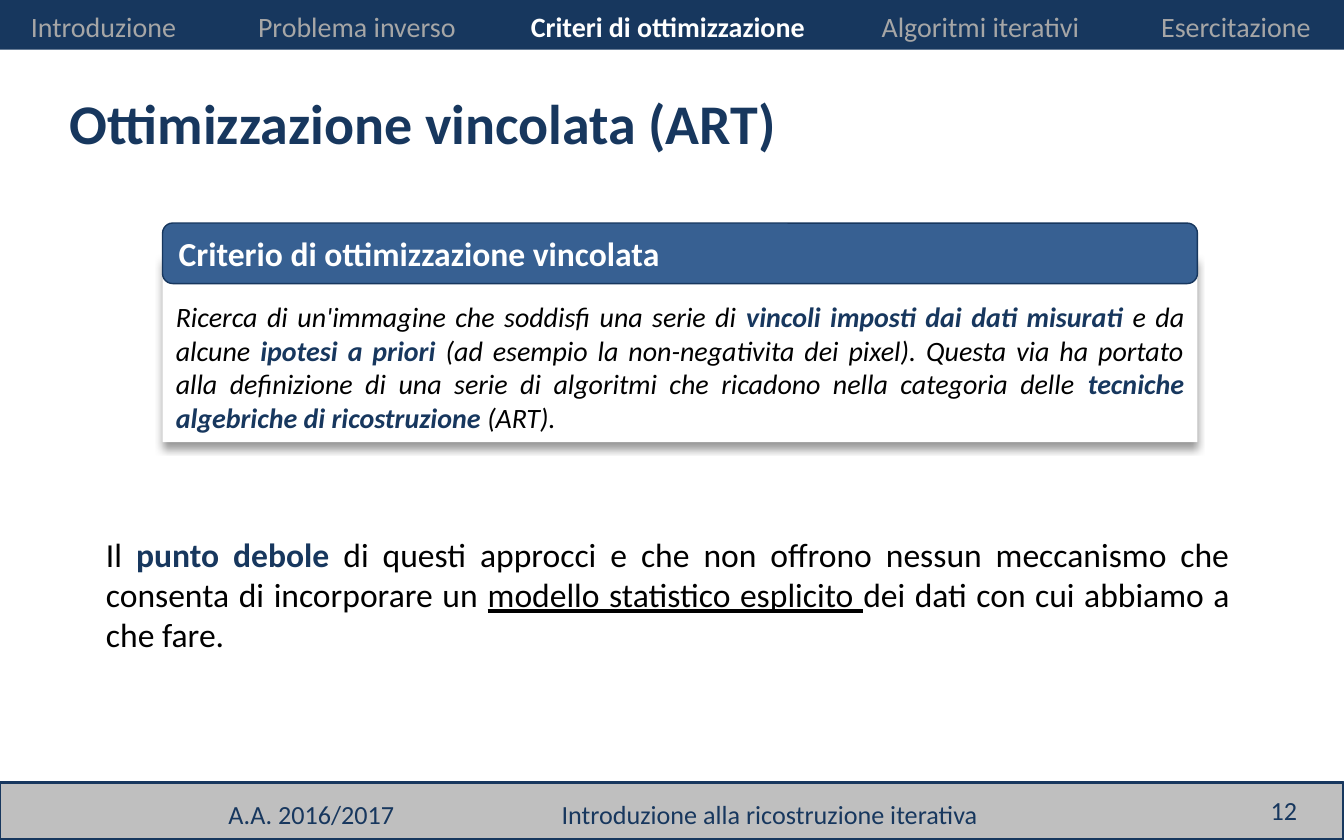
from dataclasses import dataclass

from lxml import etree
from pptx import Presentation
from pptx import util as u
from pptx.dml.color import RGBColor
from pptx.enum import shapes, text
from pptx.oxml import ns


@dataclass(frozen=True)
class Theme:
    font: str = "Calibri"
    navy: str = "17375E"
    blue: str = "376092"
    silver: str = "BFBFBF"
    muted: str = "A6A6A6"
    white: str = "FFFFFF"
    black: str = "000000"
    title: int = 30
    body: int = 18
    small: int = 15
    footer: int = 14


class Deck:
    """Holds the theme and current slide; boxes are percentages of its size."""

    def __init__(self, prs, theme):
        self.prs, self.theme = prs, theme
        self.s = prs.slides.add_slide(prs.slide_layouts[6])

    def place(self, box):
        x, y, w, h = box
        width, height = self.prs.slide_width, self.prs.slide_height
        return [int(v * size / 100) for v, size in
                ((x, width), (y, height), (w, width), (h, height))]

    def panel(self, box, fill, line=None, weight=0.75,
              kind=shapes.MSO_SHAPE.RECTANGLE):
        sp = self.s.shapes.add_shape(kind, *self.place(box))
        sp.shadow.inherit = False
        sp.fill.solid()
        sp.fill.fore_color.rgb = RGBColor.from_string(fill)
        if line:
            sp.line.color.rgb = RGBColor.from_string(line)
            sp.line.width = u.Pt(weight)
        else:
            sp.line.fill.background()
        return sp

    def drop_shadow(self, sp):
        effects = sp._element.spPr.find(ns.qn("a:effectLst"))
        shadow = etree.SubElement(
            effects, ns.qn("a:outerShdw"), blurRad=str(u.Pt(4)),
            dist=str(u.Pt(3)), dir="5400000", algn="t", rotWithShape="0")
        color = etree.SubElement(shadow, ns.qn("a:srgbClr"), val=self.theme.black)
        etree.SubElement(color, ns.qn("a:alpha"), val="40000")

    def label(self, box, runs, size, color, **style):
        sp = self.s.shapes.add_textbox(*self.place(box))
        return self.set_text(sp, runs, size, color, **style)

    def set_text(self, sp, runs, size, color, bold=None, italic=None,
                 align=text.PP_ALIGN.LEFT, anchor=text.MSO_ANCHOR.TOP):
        """Fill a shape with one paragraph of (text, run font settings) pairs."""
        tf = sp.text_frame
        tf.word_wrap, tf.vertical_anchor = True, anchor
        p = tf.paragraphs[0]
        p.alignment = align
        p.font.name, p.font.size = self.theme.font, u.Pt(size)
        p.font.bold, p.font.italic = bold, italic
        p.font.color.rgb = RGBColor.from_string(color)
        for words, look in [(runs, {})] if isinstance(runs, str) else runs:
            r = p.add_run()
            r.text = words
            r.font.bold = look.get("bold")
            r.font.underline = look.get("underline")
            if "color" in look:
                r.font.color.rgb = RGBColor.from_string(look["color"])
        return tf

    def navigation(self, sections, current, start, stops):
        """Lay sections out on tab stops, in inches from the start margin."""
        t = self.theme
        self.panel((0, 0, 100, 5.92), t.navy)
        active = {"bold": True, "color": t.white}
        runs = [("\t" * (i > 0) + name, active if name == current else {})
                for i, name in enumerate(sections)]
        tf = self.label((0, 0.32, 100, 5.6), runs, t.small, t.muted)
        tf.margin_left, tf.margin_right = u.Inches(start), 0
        tabs = etree.Element(ns.qn("a:tabLst"))
        for stop in stops:
            etree.SubElement(tabs, ns.qn("a:tab"), pos=str(u.Inches(stop)), algn="l")
        tf.paragraphs[0]._p.get_or_add_pPr().insert(0, tabs)

    def footer(self, year, topic, number):
        t = self.theme
        self.panel((0, 93.12, 100, 6.88), t.silver, t.navy, 1.5)
        self.label((16, 94.24, 19.2, 5.44), year, t.footer, t.navy)
        self.label((40.8, 94.24, 43.3, 5.44), topic, t.footer, t.navy)
        self.label((86.7, 93.76, 10.8, 5.28), number, t.footer, t.navy,
                   align=text.PP_ALIGN.RIGHT, anchor=text.MSO_ANCHOR.MIDDLE)

    def definition(self, x, y, w, heading, runs):
        t = self.theme
        card = self.panel((x, y + 4, w, 22.08), t.white)
        self.drop_shadow(card)
        tf = self.set_text(card, runs, t.small, t.black, italic=True,
                           align=text.PP_ALIGN.JUSTIFY)
        tf.margin_top = u.Inches(0.32)
        bar = self.panel((x, y, w, 7.2), t.blue, t.navy,
                         kind=shapes.MSO_SHAPE.ROUNDED_RECTANGLE)
        self.set_text(bar, heading, t.body, t.white, bold=True,
                      anchor=text.MSO_ANCHOR.MIDDLE)


def main():
    prs = Presentation()
    prs.slide_width, prs.slide_height = u.Inches(10), u.Inches(6.25)
    t = Theme()
    deck = Deck(prs, t)
    key = {"bold": True, "color": t.navy}

    deck.footer("A.A. 2016/2017", "Introduzione alla ricostruzione iterativa", "12")
    deck.label((4.2, 9.76, 90.8, 9.76), "Ottimizzazione vincolata (ART)",
               t.title, t.navy, bold=True)
    deck.definition(12.1, 26.56, 77, "Criterio di ottimizzazione vincolata", [
        ("Ricerca di un'immagine che soddisfi una serie di ", {}),
        ("vincoli imposti dai dati misurati ", key),
        ("e da alcune ", {}),
        ("ipotesi a priori ", key),
        ("(ad esempio la non-negativita dei pixel). Questa via ha portato alla "
         "definizione di una serie di algoritmi che ricadono nella categoria "
         "delle ", {}),
        ("tecniche algebriche di ricostruzione ", key),
        ("(ART).", {}),
    ])
    deck.label((6.9, 62.72, 85.6, 16.16), [
        ("Il ", {}),
        ("punto debole ", key),
        ("di questi approcci e che non offrono nessun meccanismo che consenta "
         "di incorporare un ", {}),
        ("modello statistico esplicito ", {"underline": True}),
        ("dei dati con cui abbiamo a che fare.", {}),
    ], t.body, t.black, align=text.PP_ALIGN.JUSTIFY)
    deck.navigation(
        ["Introduzione", "Problema inverso", "Criteri di ottimizzazione",
         "Algoritmi iterativi", "Esercitazione"],
        "Criteri di ottimizzazione", 0.23, [1.69, 3.72, 6.33, 8.41])
    prs.save("out.pptx")


if __name__ == "__main__":
    main()
